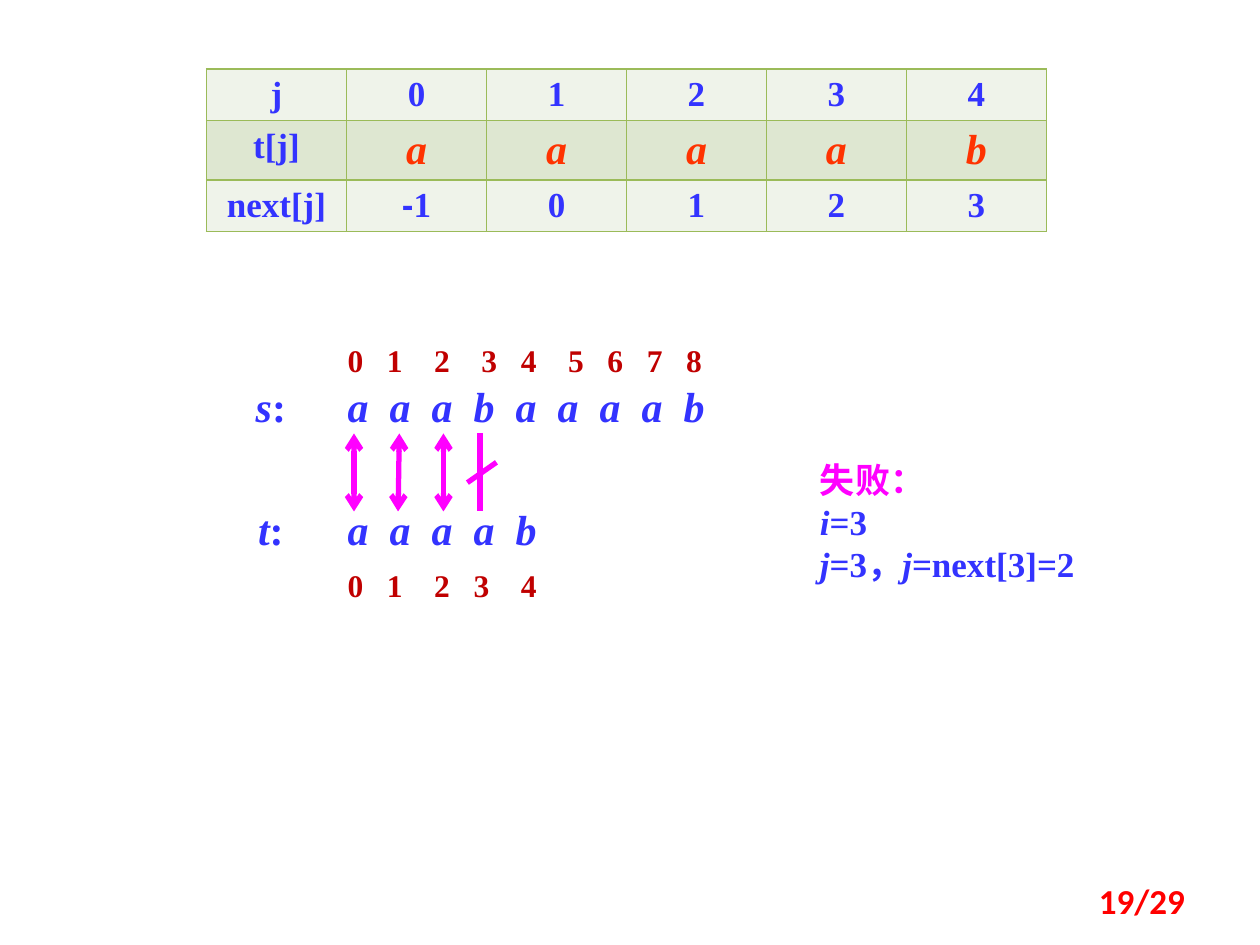
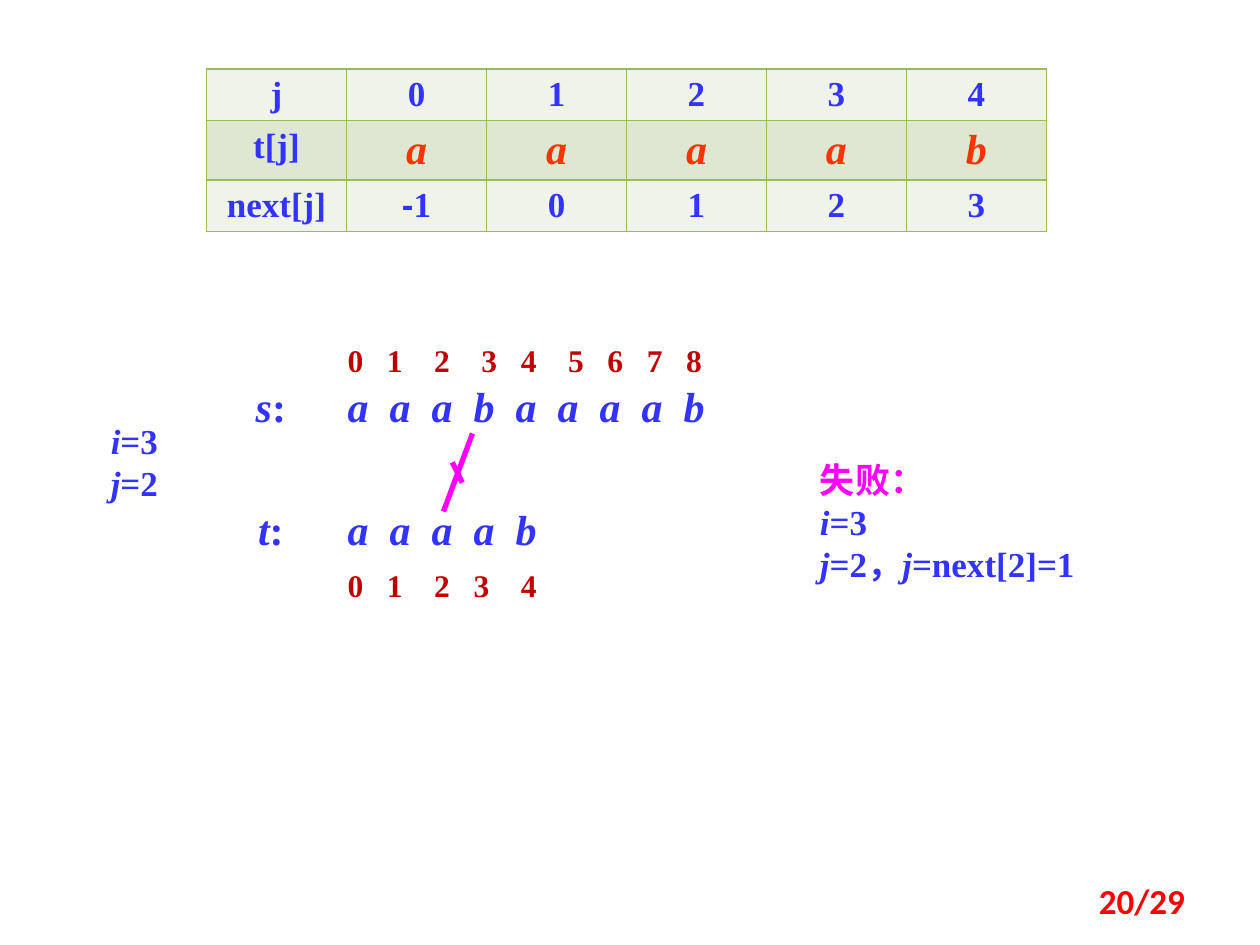
from dataclasses import dataclass

from lxml.etree import SubElement
from pptx import Presentation
from pptx.dml.color import RGBColor
from pptx.enum.shapes import MSO_CONNECTOR
from pptx.enum.text import MSO_ANCHOR, PP_ALIGN
from pptx.oxml.ns import qn
from pptx.slide import Slide
from pptx.table import _Cell
from pptx.text.text import TextFrame, _Paragraph
from pptx.util import Pt

BLUE = RGBColor(0x33, 0x33, 0xFF)
ORANGE = RGBColor(0xFF, 0x33, 0x00)
CRIMSON = RGBColor(0xC0, 0x00, 0x00)
MAGENTA = RGBColor(0xFF, 0x00, 0xFF)
RED = RGBColor(0xFF, 0x00, 0x00)
BORDER_GREEN = RGBColor(0x9B, 0xBB, 0x59)
BAND_LIGHT = RGBColor(0xEF, 0xF3, 0xEA)
BAND_DARK = RGBColor(0xDE, 0xE7, 0xD1)

SERIF = "Times New Roman"
CHINESE = "Noto Sans CJK SC"
PAGE_TOTAL = 29
SEQUENCE_LEFT = 191.5
LETTER_PITCH = 24
TEXT_INDEX_STOPS = (22.5, 49.5, 76.5, 99, 126, 148.5, 171, 193.5)
PATTERN_INDEX_STOPS = (22.5, 49.5, 72, 99)
TABLE_ROWS = (
    ("j", "0", "1", "2", "3", "4"),
    ("t[j]", "a", "a", "a", "a", "b"),
    ("next[j]", "-1", "0", "1", "2", "3"),
)


@dataclass(frozen=True)
class Span:
    text: str
    size: float = 20
    color: RGBColor = BLUE
    italic: bool = False
    font: str = SERIF


@dataclass(frozen=True)
class Frame:
    left: float
    top: float
    width: float
    height: float


@dataclass(frozen=True)
class Stroke:
    start: tuple[float, float]
    end: tuple[float, float]
    arrows: bool = False


@dataclass(frozen=True)
class Step:
    number: int
    j: int
    next_j: int
    strokes: tuple[Stroke, ...]
    shows_state: bool = False


Line = tuple[Span, ...]

STEPS = (
    Step(19, 3, 2, (
        Stroke((202.3, 247.7), (202.3, 292.3), True),
        Stroke((228.2, 247.7), (227.5, 292.3), True),
        Stroke((253.4, 247.7), (253.4, 292.3), True),
        Stroke((274.3, 247.7), (274.3, 292.3)),
        Stroke((283.7, 264.2), (267.1, 275.8)),
    )),
    Step(20, 2, 1, (
        Stroke((270, 247.7), (253.4, 292.3)),
        Stroke((258.5, 264.2), (264.2, 275.8)),
    ), True),
)


def add_spans(paragraph: _Paragraph, line: Line) -> None:
    for span in line:
        run = paragraph.add_run()
        run.text = span.text
        font = run.font
        font.name = span.font
        font.size = Pt(span.size)
        font.bold = True
        font.italic = span.italic
        font.color.rgb = span.color
        SubElement(font._element, qn("a:ea"), typeface=CHINESE)


def add_text(page: Slide, frame: Frame, lines: tuple[Line, ...],
             align: PP_ALIGN = PP_ALIGN.LEFT) -> TextFrame:
    box = page.shapes.add_textbox(
        Pt(frame.left), Pt(frame.top), Pt(frame.width), Pt(frame.height))
    text_frame = box.text_frame
    text_frame.word_wrap = True
    for index, line in enumerate(lines):
        paragraph = text_frame.add_paragraph() if index else text_frame.paragraphs[0]
        paragraph.alignment = align
        if len(lines) > 1:
            paragraph.line_spacing = Pt(24)
        add_spans(paragraph, line)
    return text_frame


def add_sequence(page: Slide, top: float, symbols: str,
                 stops: tuple[float, ...], style: Span) -> None:
    """Set each symbol on its own tab stop, the first at the left edge."""
    frame = Frame(SEQUENCE_LEFT, top, 242, style.size * 1.2 + 7.2)
    span = Span("\t".join(symbols), style.size, style.color, style.italic)
    paragraph = add_text(page, frame, ((span,),)).paragraphs[0]
    tabs = SubElement(paragraph._p.get_or_add_pPr(), qn("a:tabLst"))
    for stop in stops:
        SubElement(tabs, qn("a:tab"), pos=str(Pt(stop)), algn="l")


def add_string(page: Slide, top: float, name: str, letters: str) -> None:
    style = Span("", 24, italic=True)
    stops = tuple(LETTER_PITCH * i for i in range(1, len(letters)))
    add_sequence(page, top, letters, stops, style)
    label = (Span(name, 24, italic=True), Span(":", 24))
    add_text(page, Frame(129.6, top, 50.4, 36), (label,), PP_ALIGN.CENTER)


def add_stroke(page: Slide, stroke: Stroke) -> None:
    connector = page.shapes.add_connector(
        MSO_CONNECTOR.STRAIGHT, *map(Pt, stroke.start + stroke.end))
    connector.line.color.rgb = MAGENTA
    connector.line.width = Pt(3)
    if stroke.arrows:
        outline = connector.line._get_or_add_ln()
        for end in ("a:headEnd", "a:tailEnd"):
            SubElement(outline, qn(end), type="arrow")
    SubElement(connector._element.spPr, qn("a:effectLst"))


def style_cell(cell: _Cell, fill: RGBColor) -> None:
    properties = cell._tc.get_or_add_tcPr()
    for side in ("a:lnL", "a:lnR", "a:lnT", "a:lnB"):
        border = SubElement(properties, qn(side), w=str(Pt(1)))
        solid = SubElement(border, qn("a:solidFill"))
        SubElement(solid, qn("a:srgbClr"), val=str(BORDER_GREEN))
    cell.fill.solid()
    cell.fill.fore_color.rgb = fill


def cell_spans(text: str, is_pattern: bool) -> Line:
    if is_pattern:
        return (Span(text, 24, ORANGE, True),)
    if text.startswith("-"):
        return Span("-", font="Arial"), Span(text[1:])
    return (Span(text),)


def add_next_table(page: Slide) -> None:
    column_count = len(TABLE_ROWS[0])
    table = page.shapes.add_table(
        len(TABLE_ROWS), column_count, Pt(118), Pt(39.5),
        Pt(80 * column_count), Pt(29.5 * len(TABLE_ROWS))).table
    for row, texts in enumerate(TABLE_ROWS):
        for column, text in enumerate(texts):
            cell = table.cell(row, column)
            style_cell(cell, BAND_DARK if row == 1 else BAND_LIGHT)
            paragraph = cell.text_frame.paragraphs[0]
            paragraph.alignment = PP_ALIGN.CENTER
            add_spans(paragraph, cell_spans(text, row == 1 and column > 0))


def assignment(name: str, value: str) -> Line:
    return Span(name, italic=True), Span(f"={value}")


def add_step(page: Slide, step: Step) -> None:
    add_next_table(page)
    index_style = Span("", 18, CRIMSON)
    add_string(page, 213.8, "s", "aaabaaaab")
    add_sequence(page, 191.5, "012345678", TEXT_INDEX_STOPS, index_style)
    add_string(page, 284.4, "t", "aaaab")
    add_sequence(page, 319.7, "01234", PATTERN_INDEX_STOPS, index_style)
    for stroke in step.strokes:
        add_stroke(page, stroke)

    add_text(page, Frame(461.5, 258.5, 180, 80), (
        (Span("失败：", color=MAGENTA, font=CHINESE),),
        assignment("i", "3"),
        assignment("j", f"{step.j}，") + assignment("j", f"next[{step.j}]={step.next_j}"),
    ))
    if step.shows_state:
        state = assignment("i", "3"), assignment("j", str(step.j))
        add_text(page, Frame(56.2, 236.2, 56.2, 55.4), state)

    number = Span(f"{step.number}/{PAGE_TOTAL}", color=RED, font="Calibri")
    footer = add_text(page, Frame(516.2, 500.4, 168, 28.8), ((number,),), PP_ALIGN.RIGHT)
    footer.vertical_anchor = MSO_ANCHOR.MIDDLE


def main() -> None:
    deck = Presentation()
    deck.slide_width, deck.slide_height = Pt(720), Pt(540)
    for step in STEPS:
        add_step(deck.slides.add_slide(deck.slide_layouts[6]), step)
    deck.save("out.pptx")


if __name__ == "__main__":
    main()
